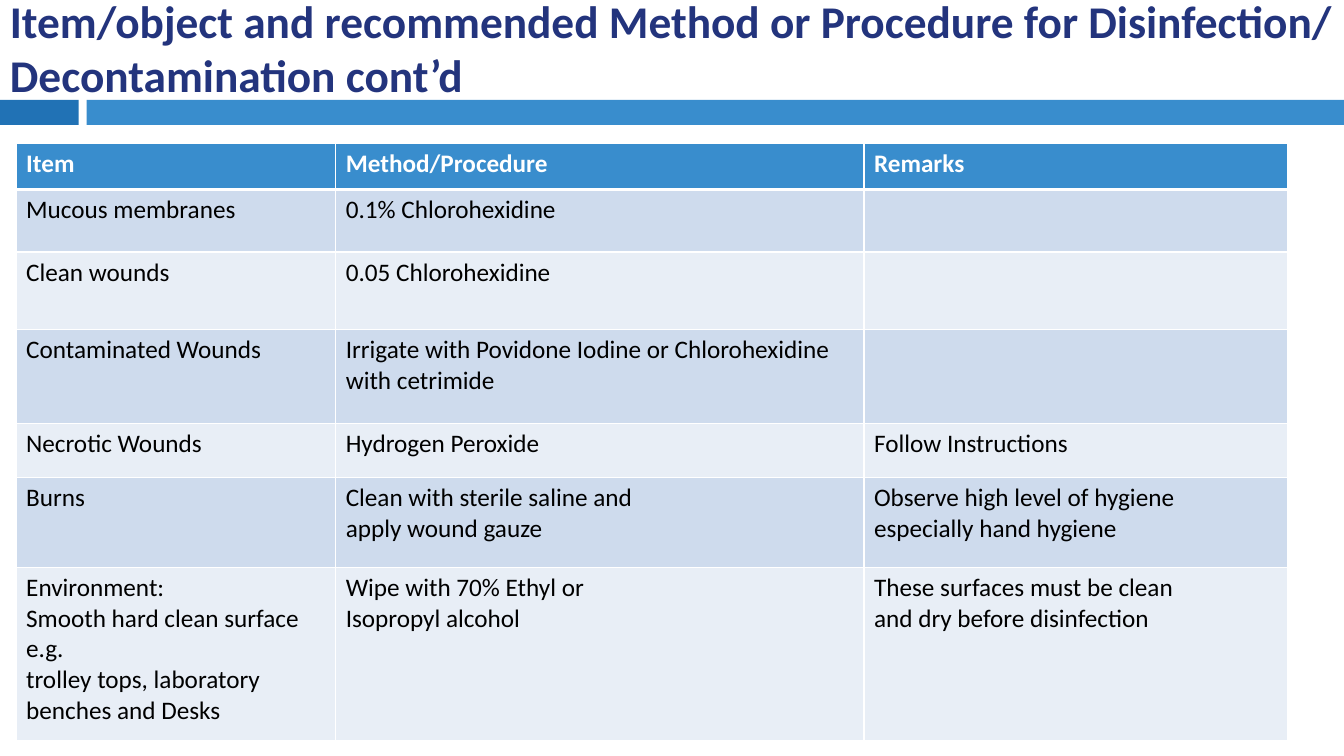
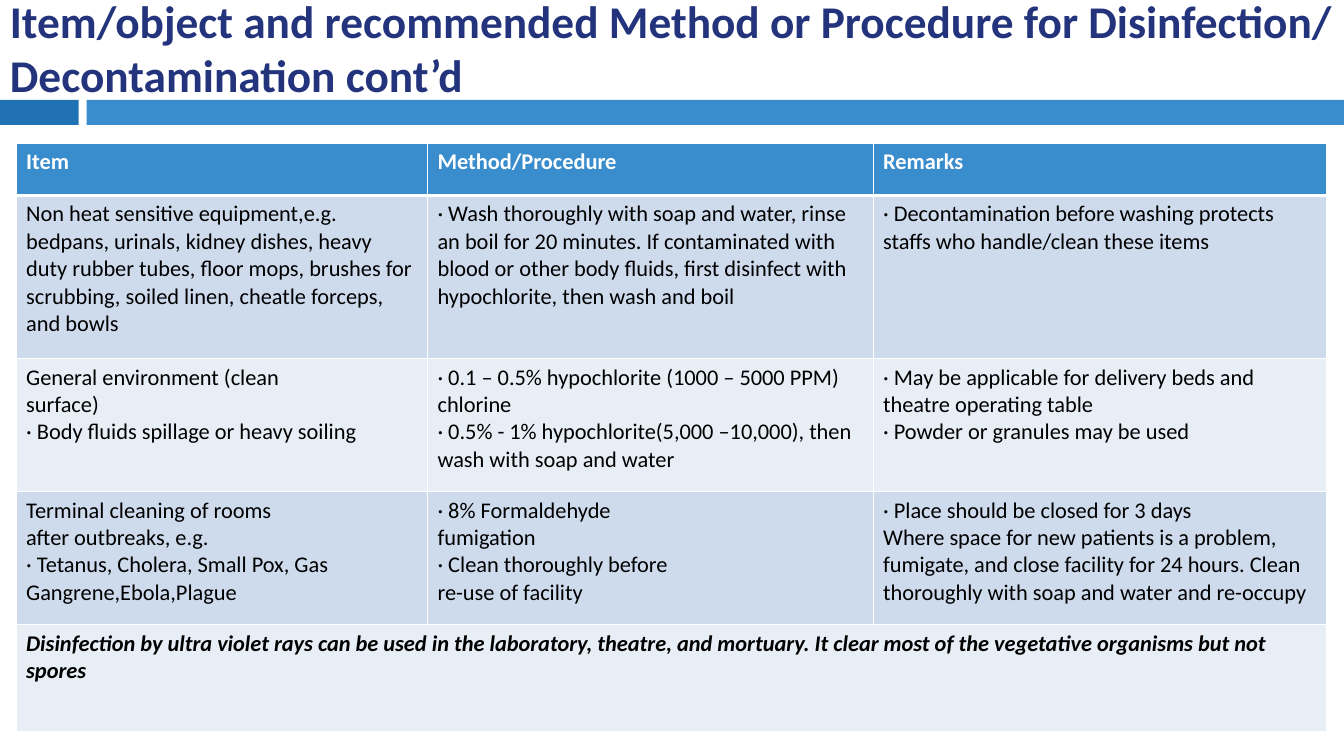
import pptx
import pptx.util
import pptx.dml.color
import pptx.enum.shapes
import pptx.enum.text
import pptx.oxml
import pptx.oxml.ns

Inches = pptx.util.Inches
COLOURS = {
    "title": "23347D",
    "accent": "2172B5",
    "band": "398DCD",
    "odd_row": "CEDBED",
    "even_row": "E8EEF6",
    "white": "FFFFFF",
    "black": "000000",
}
FONT = "Calibri"
TITLE = "Item/object and recommended Method or Procedure for Disinfection/ Decontamination cont’d"
HEADER = ["Item", "Method/Procedure", "Remarks"]
BANDS = [(0, 0.78, "accent"), (0.86, 12.47, "band")]
TABLE_LEFT, TABLE_TOP = 0.16, 1.42

TABLES = [
    {
        "size": 18,
        "columns": [3.17, 5.24, 4.2],
        "heights": [0.46, 0.62, 0.77, 0.93, 0.54, 0.89, 1.72],
        "rows": [
            ["Mucous membranes", "0.1% Chlorohexidine", ""],
            ["Clean wounds", "0.05 Chlorohexidine", ""],
            ["Contaminated Wounds",
             "Irrigate with Povidone Iodine or Chlorohexidine with cetrimide", ""],
            ["Necrotic Wounds", "Hydrogen Peroxide", "Follow Instructions"],
            ["Burns",
             "Clean with sterile saline and\napply wound gauze",
             "Observe high level of hygiene\nespecially hand hygiene"],
            ["Environment:\nSmooth hard clean surface e.g.\ntrolley tops, laboratory\nbenches and Desks",
             "Wipe with 70% Ethyl or\nIsopropyl alcohol",
             "These surfaces must be clean\nand dry before disinfection"],
        ],
        "closing": None,
    },
    {
        "size": 16,
        "columns": [4.08, 4.42, 4.5],
        "heights": [0.52, 1.62, 1.32, 1.32, 1.06],
        "rows": [
            ["Non heat sensitive equipment,e.g. bedpans, urinals, kidney dishes, heavy duty rubber tubes, "
             "floor mops, brushes for scrubbing, soiled linen, cheatle forceps, and bowls",
             "· Wash thoroughly with soap and water, rinse an boil for 20 minutes. If contaminated with "
             "blood or other body fluids, first disinfect with hypochlorite, then wash and boil",
             "· Decontamination before washing protects staffs who handle/clean these items"],
            ["General environment (clean\nsurface)\n· Body fluids spillage or heavy soiling",
             "· 0.1 – 0.5% hypochlorite (1000 – 5000 PPM) chlorine\n"
             "· 0.5% - 1% hypochlorite(5,000 –10,000), then wash with soap and water",
             "· May be applicable for delivery beds and theatre operating table\n"
             "· Powder or granules may be used"],
            ["Terminal cleaning of rooms\nafter outbreaks, e.g.\n"
             "· Tetanus, Cholera, Small Pox, Gas Gangrene,Ebola,Plague",
             "· 8% Formaldehyde\nfumigation\n· Clean thoroughly before\nre-use of facility",
             "· Place should be closed for 3 days\n"
             "Where space for new patients is a problem, fumigate, and close facility for 24 hours. "
             "Clean thoroughly with soap and water and re-occupy"],
        ],
        "closing": "Disinfection by ultra violet rays can be used in the laboratory, theatre, and mortuary. "
                   "It clear most of the vegetative organisms but not spores",
    },
]


def paint(fill, colour):
    fill.solid()
    fill.fore_color.rgb = pptx.dml.color.RGBColor.from_string(COLOURS[colour])


def write(frame, text, colour, formats):
    frame.text = text
    for para in frame.paragraphs:
        for name, value in formats.items():
            setattr(para.font, name, value)
        paint(para.font.fill, colour)


deck = pptx.Presentation()
deck.slide_width, deck.slide_height = Inches(13.33), Inches(7.5)

for content in TABLES:
    page = deck.slides.add_slide(deck.slide_layouts[6])

    for left, width, colour in BANDS:
        band = page.shapes.add_shape(
            pptx.enum.shapes.MSO_SHAPE.RECTANGLE,
            Inches(left), Inches(0.99), Inches(width), Inches(0.25))
        band.shadow.inherit = False
        band.line.fill.background()
        paint(band.fill, colour)

    rows = [HEADER] + content["rows"]
    if content["closing"]:
        rows.append([content["closing"], "", ""])
    frame = page.shapes.add_table(
        len(rows), len(HEADER), Inches(TABLE_LEFT), Inches(TABLE_TOP),
        Inches(sum(content["columns"])), Inches(sum(content["heights"])))
    table = frame.table
    for column, width in zip(table.columns, content["columns"]):
        column.width = Inches(width)
    for row, height in zip(table.rows, content["heights"]):
        row.height = Inches(height)

    for row_index, texts in enumerate(rows):
        is_header = row_index == 0
        is_closing = texts[0] == content["closing"]
        row_fill = "band" if is_header else ("even_row", "odd_row")[row_index % 2]
        formats = {
            "name": FONT,
            "size": pptx.util.Pt(content["size"]),
            "bold": is_header or is_closing,
            "italic": is_closing,
        }
        borders = {"lnL": 1, "lnR": 1, "lnT": 3 if row_index == 1 else 1, "lnB": 3 if is_header else 1}
        for column_index, text in enumerate(texts):
            cell = table.cell(row_index, column_index)
            write(cell.text_frame, text, "white" if is_header else "black", formats)
            properties = cell._tc.get_or_add_tcPr()
            for side, points in borders.items():
                properties.append(pptx.oxml.parse_xml(
                    f'<a:{side} {pptx.oxml.ns.nsdecls("a")} w="{pptx.util.Pt(points)}">'
                    f'<a:solidFill><a:srgbClr val="{COLOURS["white"]}"/></a:solidFill></a:{side}>'))
            paint(cell.fill, row_fill)
        if is_closing:
            table.cell(row_index, 0).merge(table.cell(row_index, len(HEADER) - 1))

    title = page.shapes.add_textbox(Inches(0), Inches(0.1), Inches(13.33), Inches(0.74))
    title.text_frame.word_wrap = True
    title.text_frame.vertical_anchor = pptx.enum.text.MSO_ANCHOR.MIDDLE
    write(title.text_frame, TITLE, "title", {"name": FONT, "size": pptx.util.Pt(32.4), "bold": True})

deck.save("out.pptx")
